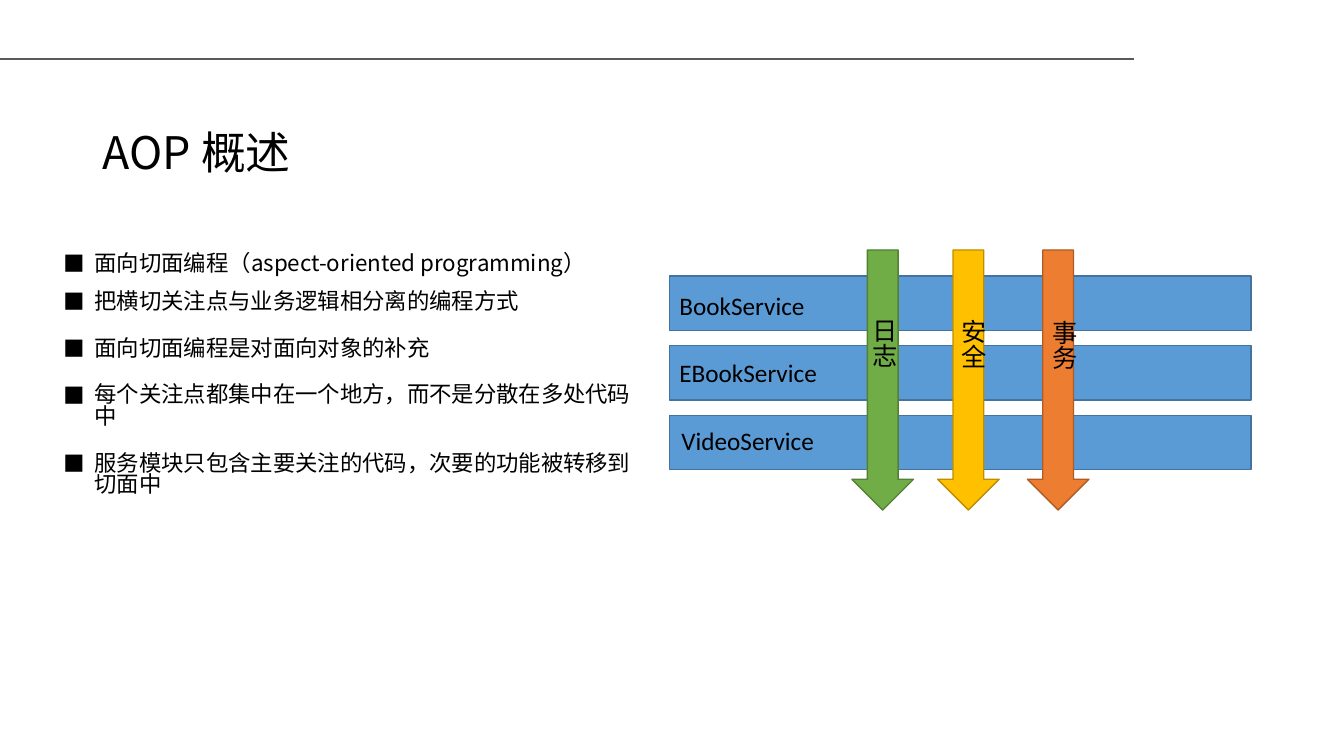
from lxml.etree import SubElement
from pptx import Presentation
from pptx.dml.color import RGBColor
from pptx.enum.shapes import MSO_CONNECTOR as Connector, MSO_SHAPE as Shape
from pptx.enum.text import MSO_ANCHOR as Anchor, MSO_AUTO_SIZE as AutoSize
from pptx.oxml.ns import qn
from pptx.util import Emu, Pt

PX = 9144
BLACK = RGBColor(0x00, 0x00, 0x00)
RULE_GREY = RGBColor(0x59, 0x59, 0x59)
BLUE, BLUE_EDGE = RGBColor(0x5B, 0x9B, 0xD5), RGBColor(0x43, 0x73, 0x9E)
GREEN, GREEN_EDGE = RGBColor(0x70, 0xAD, 0x47), RGBColor(0x53, 0x80, 0x35)
GOLD, GOLD_EDGE = RGBColor(0xFF, 0xC0, 0x00), RGBColor(0xBD, 0x8E, 0x00)
ORANGE, ORANGE_EDGE = RGBColor(0xED, 0x7D, 0x31), RGBColor(0xAF, 0x5C, 0x24)
LATIN, CJK = "Calibri", "Noto Sans CJK SC"

POINTS = [
    "面向切面编程（aspect-oriented programming）",
    "把横切关注点与业务逻辑相分离的编程方式",
    "面向切面编程是对面向对象的补充",
    "每个关注点都集中在一个地方，而不是分散在多处代码中",
    "服务模块只包含主要关注的代码，次要的功能被转移到切面中",
]
SERVICES = [("BookService", 0, 9), ("EBookService", 0, 7), ("VideoService", 2, 5)]
ASPECTS = [
    ("日志", 181, GREEN, GREEN_EDGE, 2, 58),
    ("安全", 266, GOLD, GOLD_EDGE, 5, 59),
    ("事务", 355, ORANGE, ORANGE_EDGE, 6, 60),
]


def px(*lengths):
    """Turn px lengths into EMU."""
    return [Emu(length * PX) for length in lengths]


def apply(target, values):
    """Set each attribute named in values on the target."""
    for key, value in values.items():
        setattr(target, key, value)


def add_text(slide, box, lines, size, face, frame_format, paragraph_format):
    """Write lines as paragraphs in a text box and return its frame."""
    frame = slide.shapes.add_textbox(*px(*box)).text_frame
    apply(frame, {"word_wrap": True, **frame_format})
    for index, line in enumerate(lines):
        paragraph = frame.paragraphs[0] if index == 0 else frame.add_paragraph()
        apply(paragraph, paragraph_format)
        run = paragraph.add_run()
        run.text = line
        apply(run.font, {"size": Pt(size), "name": face})
        run.font.color.rgb = BLACK
        SubElement(run.font._element, qn("a:ea"), typeface=CJK)
    return frame


def add_block(slide, preset, box, fill, edge):
    """Draw a filled preset shape with a thin edge."""
    block = slide.shapes.add_shape(preset, *px(*box))
    block.shadow.inherit = False
    block.fill.solid()
    block.fill.fore_color.rgb = fill
    block.line.color.rgb = edge
    block.line.width = Pt(1)


def add_header(slide, left, top, width, height):
    """Draw the top rule and the title below it."""
    ends = px(left, top, left + width, top)
    rule = slide.shapes.add_connector(Connector.STRAIGHT, *ends)
    rule.line.color.rgb = RULE_GREY
    rule.line.width = Pt(1.5)
    SubElement(rule._element.spPr, qn("a:effectLst"))
    title_box = (left + 92, top + height - 71, 430, 71)
    add_text(slide, title_box, ["AOP 概述"], 32, CJK,
             {"vertical_anchor": Anchor.BOTTOM}, {"line_spacing": 0.9})


def add_points(slide, left, top, width, height):
    """List the points with square bullets and hanging indents."""
    spacing = {"line_spacing": 0.8, "space_before": Pt(12), "space_after": Pt(6)}
    frame = add_text(slide, (left, top, width, height), POINTS, 16, CJK, {}, spacing)
    frame.paragraphs[0].space_after = Pt(0)
    indent = 31 * PX
    for paragraph in frame.paragraphs:
        properties = paragraph._p.get_or_add_pPr()
        properties.set("marL", str(indent))
        properties.set("indent", str(-indent))
        SubElement(properties, qn("a:buFont"), typeface=LATIN)
        SubElement(properties, qn("a:buChar"), char="■")


def add_diagram(slide, left, top, width, height):
    """Cross the service bars with the aspect arrows and label both."""
    bar_top, bar_pitch, bar_height = top + 26, 69, 54
    for row in range(len(SERVICES)):
        bar = (left, bar_top + row * bar_pitch, width, bar_height)
        add_block(slide, Shape.RECTANGLE, bar, BLUE, BLUE_EDGE)
    for _, x, fill, edge, _, _ in ASPECTS:
        add_block(slide, Shape.DOWN_ARROW, (left + x, top, 61, height), fill, edge)

    fitted = {"auto_size": AutoSize.SHAPE_TO_FIT_TEXT}
    for row, (service, dx, dy) in enumerate(SERVICES):
        label = (left + dx, bar_top + row * bar_pitch + dy, 181, 40)
        add_text(slide, label, [service], 18, LATIN, fitted, {})
    for aspect, x, _, _, dx, dy in ASPECTS:
        label = (left + x + dx, top + dy, 50, 73)
        frame = add_text(slide, label, [aspect], 18, LATIN, fitted, {})
        frame._txBody.bodyPr.set("vert", "eaVert")


def main():
    """Build the slide and save it."""
    deck = Presentation()
    deck.slide_width, deck.slide_height = px(1333, 750)
    slide = deck.slides.add_slide(deck.slide_layouts[6])
    add_header(slide, 0, 59, 1125, 124)
    add_points(slide, 53, 247, 585, 392)
    add_diagram(slide, 664, 248, 577, 258)
    deck.save("out.pptx")


if __name__ == "__main__":
    main()
